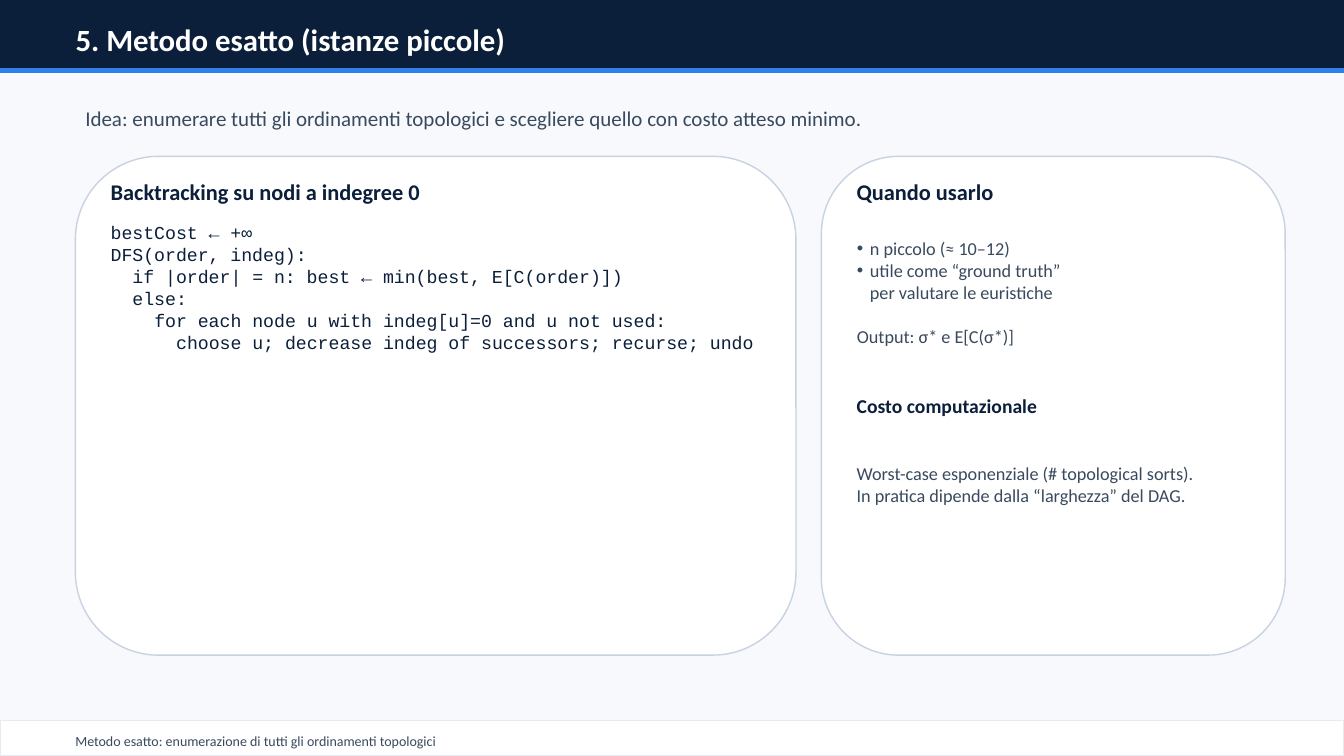
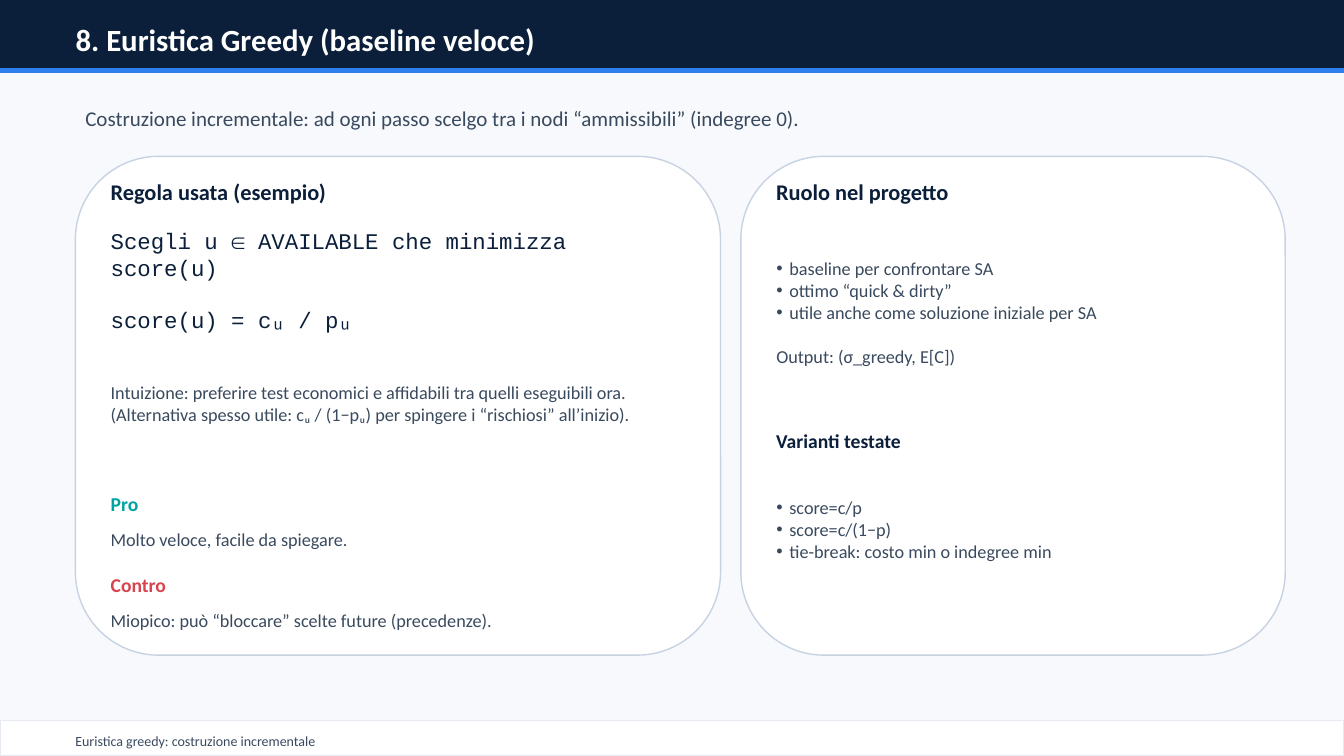
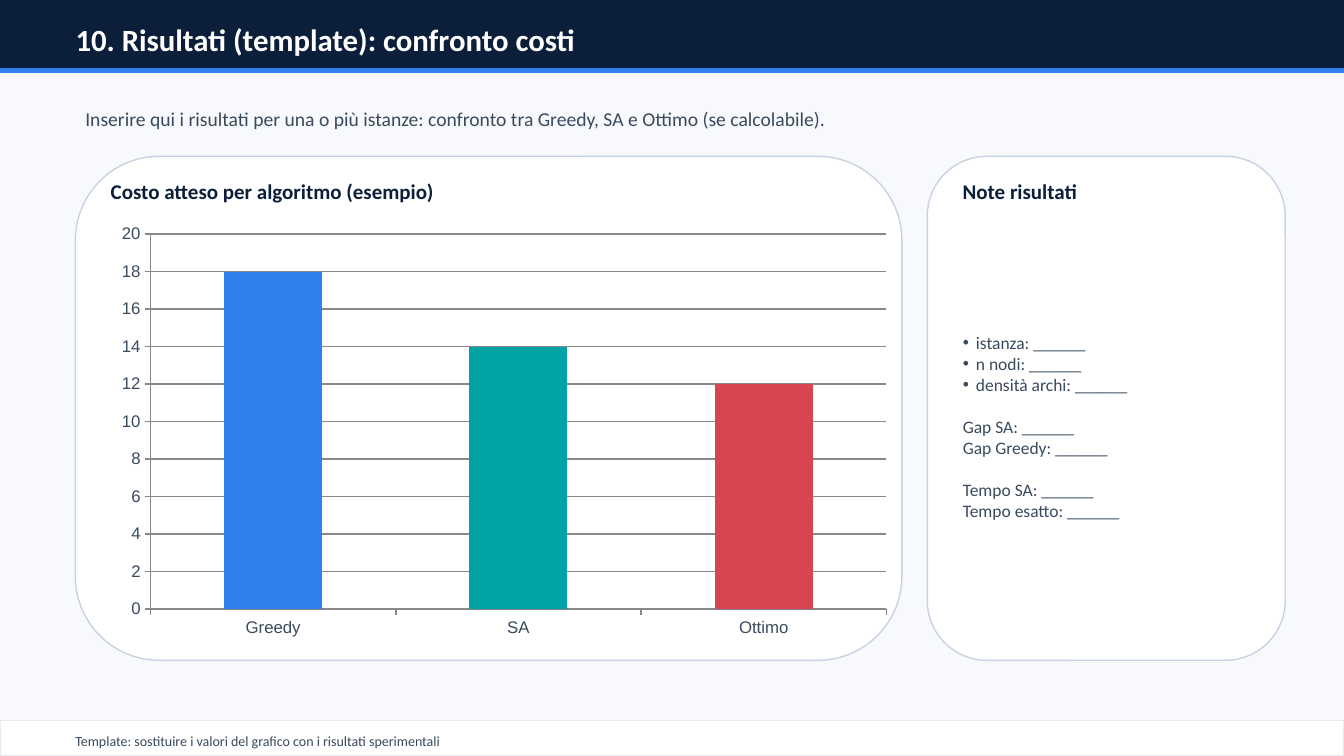
from dataclasses import dataclass

from lxml import etree
from pptx import Presentation
from pptx import util as u
from pptx.chart.data import CategoryChartData
from pptx.dml.color import RGBColor
from pptx.enum import chart as charts, shapes, text
from pptx.oxml.ns import qn


@dataclass(frozen=True)
class Style:
    size: float
    color: str
    bold: bool = False
    font: str = "Calibri"
    leading: float = 1.22


class Theme:
    navy, blue, teal, red = "0B1F3A", "2F80ED", "00A3A3", "D64550"
    slate, white, paper = "3A4A5E", "FFFFFF", "F7F9FC"
    card_line, footer_line, axis = "C7D2E3", "E6EBF2", "888888"
    title = Style(22, white, True)
    lead = Style(15, slate)
    lead_small = Style(14, slate)
    heading = Style(16, navy, True)
    heading_small = Style(15, navy, True)
    subheading = Style(14, navy, True)
    pro = Style(14, teal, True)
    contra = Style(14, red, True)
    body = Style(13, slate)
    notes = Style(12.5, slate)
    code = Style(13, navy, font="Courier New", leading=1.13)
    formula = Style(16, navy, font="Courier New", leading=1.13)
    footer = Style(10, slate)
    axis_label = Style(12, slate, font="Arial")


@dataclass(frozen=True)
class Line:
    """One paragraph; gap leaves one free line above it."""
    text: str
    bullet: bool = False
    gap: bool = False
    level: int = 0


SLIDE_WIDTH, SLIDE_HEIGHT = 33.87, 19.05
MARGIN, RIGHT_EDGE = 1.9, 32.39
CARD_TOP, CARD_PADDING = 3.94, 0.64
BULLET_INDENT, CODE_INDENT = 0.33, 0.55
MIDDLE, TOP = text.MSO_ANCHOR.MIDDLE, text.MSO_ANCHOR.TOP


def rgb(color):
    return RGBColor.from_string(color)


def lengths(area):
    return [u.Cm(value) for value in area]


def apply_font(font, style):
    font.name, font.size, font.bold = style.font, u.Pt(style.size), style.bold
    font.color.rgb = rgb(style.color)


def set_indent(para, line):
    props = para._p.get_or_add_pPr()
    hanging = BULLET_INDENT if line.bullet else 0
    props.set("marL", str(u.Cm(hanging + line.level * CODE_INDENT)))
    props.set("indent", str(-u.Cm(hanging)))
    if line.bullet:
        etree.SubElement(props, qn("a:buChar")).set("char", "•")
    else:
        etree.SubElement(props, qn("a:buNone"))


def write(box, area, lines, style, anchor=MIDDLE):
    """Place a text box or placeholder and fill it with lines."""
    box.left, box.top, box.width, box.height = lengths(area)
    frame = box.text_frame
    frame.word_wrap = True
    frame.auto_size = text.MSO_AUTO_SIZE.NONE
    frame.vertical_anchor = anchor
    for number, line in enumerate(lines):
        para = frame.paragraphs[0] if number == 0 else frame.add_paragraph()
        para.text = line.text
        para.alignment = text.PP_ALIGN.LEFT
        para.space_before = u.Pt(round(style.size * style.leading, 1) if line.gap else 0)
        set_indent(para, line)
        for span in para.runs:
            apply_font(span.font, style)


def add_text(page, area, lines, style, anchor=MIDDLE):
    if isinstance(lines, str):
        lines = [Line(lines)]
    write(page.shapes.add_textbox(*lengths(area)), area, lines, style, anchor)


def add_panel(page, kind, area, fill, line):
    panel = page.shapes.add_shape(kind, *lengths(area))
    panel.shadow.inherit = False
    panel.fill.solid()
    panel.fill.fore_color.rgb = rgb(fill)
    panel.line.color.rgb = rgb(line)
    panel.line.width = u.Pt(1)
    return panel


def add_cards(page, left_width, gap, height, headings, style):
    """Draw two headed cards and return (left, width) of the text in each."""
    right_left = MARGIN + left_width + gap
    columns = []
    for left, width, heading in ((MARGIN, left_width, headings[0]),
                                 (right_left, RIGHT_EDGE - right_left, headings[1])):
        card = add_panel(page, shapes.MSO_SHAPE.ROUNDED_RECTANGLE,
                         (left, CARD_TOP, width, height), Theme.white, Theme.card_line)
        page.shapes.element.insert(2, card.element)  # behind the placeholders
        column = left + CARD_PADDING, width - 2 * CARD_PADDING
        add_text(page, (column[0], 4.37, column[1], 0.89), heading, style)
        columns.append(column)
    return columns


def move_bands_to_layout(page, layout):
    """Draw the shared bands and hand them to the layout."""
    for holder in list(layout.placeholders):
        if holder.placeholder_format.idx >= 10:
            holder.element.getparent().remove(holder.element)
    bands = (
        (0, 1.83, Theme.navy, Theme.navy),
        (1.73, 0.1, Theme.blue, Theme.blue),
        (18.16, 0.89, Theme.white, Theme.footer_line),
    )
    for top, height, fill, line in bands:
        band = add_panel(page, shapes.MSO_SHAPE.RECTANGLE,
                         (0, top, SLIDE_WIDTH, height), fill, line)
        layout.shapes.element.append(band.element)


def add_page(deck, layout, title, lead, footer, lead_style=Theme.lead):
    page = deck.slides.add_slide(layout)
    if len(deck.slides) == 1:
        move_bands_to_layout(page, layout)
    write(page.shapes.title, (1.65, 0.41, 30.56, 1.14), [Line(title)], Theme.title)
    add_text(page, (MARGIN, 2.41, 30.48, 1.14), lead, lead_style)
    add_text(page, (1.65, 18.34, 30.56, 0.64), footer, Theme.footer)
    return page


def remove_empty_placeholders(page):
    for holder in list(page.placeholders):
        if not holder.text_frame.text:
            holder.element.getparent().remove(holder.element)


def add_cost_chart(page, area):
    data = CategoryChartData()
    data.categories = ["Greedy", "SA", "Ottimo"]
    data.add_series("Series 1", [18, 14, 12])
    chart = page.shapes.add_chart(charts.XL_CHART_TYPE.COLUMN_CLUSTERED,
                                  *lengths(area), data).chart
    chart.has_legend = chart.has_title = False
    chart.font.name, chart.font.size = "Calibri", u.Pt(10)
    plot = chart.plots[0]
    plot.gap_width, plot.vary_by_categories = 150, False
    for number, color in enumerate((Theme.blue, Theme.teal, Theme.red)):
        fill = plot.series[0].points[number].format.fill
        fill.solid()
        fill.fore_color.rgb = rgb(color)
    values = chart.value_axis
    values.minimum_scale, values.maximum_scale, values.major_unit = 0, 20, 2
    values.has_major_gridlines = True
    for axis in (chart.category_axis, values):
        axis.major_tick_mark = charts.XL_TICK_MARK.OUTSIDE
        apply_font(axis.tick_labels.font, Theme.axis_label)
    for part in (chart.category_axis, values, values.major_gridlines):
        part.format.line.color.rgb = rgb(Theme.axis)
        part.format.line.width = u.Pt(1)


def build_exact_method(deck, layout):
    page = add_page(
        deck, layout, "5. Metodo esatto (istanze piccole)",
        "Idea: enumerare tutti gli ordinamenti topologici e scegliere quello con costo atteso minimo.",
        "Metodo esatto: enumerazione di tutti gli ordinamenti topologici")
    (left, left_width), (right, right_width) = add_cards(
        page, 18.16, 0.64, 12.57,
        ("Backtracking su nodi a indegree 0", "Quando usarlo"), Theme.heading)
    add_text(page, (left, 5.46, left_width, 10.67), [
        Line("bestCost ← +∞"),
        Line("DFS(order, indeg):"),
        Line("if |order| = n: best ← min(best, E[C(order)])", level=1),
        Line("else:", level=1),
        Line("for each node u with indeg[u]=0 and u not used:", level=2),
        Line("choose u; decrease indeg of successors; recurse; undo", level=3),
    ], Theme.code, TOP)
    write(page.placeholders[1], (right, 5.46, right_width, 3.81), [
        Line("n piccolo (≈ 10–12)", bullet=True),
        Line("utile come “ground truth”\vper valutare le euristiche", bullet=True),
        Line("Output: σ* e E[C(σ*)]", gap=True),
    ], Theme.body)
    add_text(page, (right, 9.78, right_width, 0.89), "Costo computazionale", Theme.subheading)
    add_text(page, (right, 10.8, right_width, 2.79), [
        Line("Worst-case esponenziale (# topological sorts)."),
        Line("In pratica dipende dalla “larghezza” del DAG."),
    ], Theme.body)


def build_greedy(deck, layout):
    page = add_page(
        deck, layout, "8. Euristica Greedy (baseline veloce)",
        "Costruzione incrementale: ad ogni passo scelgo tra i nodi “ammissibili” (indegree 0).",
        "Euristica greedy: costruzione incrementale")
    (left, left_width), (right, right_width) = add_cards(
        page, 16.26, 0.51, 12.57,
        ("Regola usata (esempio)", "Ruolo nel progetto"), Theme.heading)
    add_text(page, (left, 5.59, left_width, 2.79), [
        Line("Scegli u ∈ AVAILABLE che minimizza score(u)"),
        Line("score(u) = cᵤ / pᵤ", gap=True),
    ], Theme.formula, TOP)
    add_text(page, (left, 8.64, left_width, 3.05), [
        Line("Intuizione: preferire test economici e affidabili tra quelli eseguibili ora."),
        Line("(Alternativa spesso utile: cᵤ / (1−pᵤ) per spingere i “rischiosi” all’inizio)."),
    ], Theme.body)
    verdicts = (
        (12.32, "Pro", Theme.pro, "Molto veloce, facile da spiegare."),
        (14.35, "Contro", Theme.contra, "Miopico: può “bloccare” scelte future (precedenze)."),
    )
    for top, label, style, verdict in verdicts:
        add_text(page, (left, top, 6.35, 0.76), label, style)
        add_text(page, (left, top + 0.89, left_width, 0.76), verdict, Theme.body)
    write(page.placeholders[1], (right, 5.59, right_width, 4.57), [
        Line("baseline per confrontare SA", bullet=True),
        Line("ottimo “quick & dirty”", bullet=True),
        Line("utile anche come soluzione iniziale per SA", bullet=True),
        Line("Output: (σ_greedy, E[C])", gap=True),
    ], Theme.body)
    add_text(page, (right, 10.67, right_width, 0.89), "Varianti testate", Theme.subheading)
    write(page.placeholders[2], (right, 11.81, right_width, 3.05), [
        Line("score=c/p", bullet=True),
        Line("score=c/(1−p)", bullet=True),
        Line("tie-break: costo min o indegree min", bullet=True),
    ], Theme.body)


def build_results(deck, layout):
    page = add_page(
        deck, layout, "10. Risultati (template): confronto costi",
        "Inserire qui i risultati per una o più istanze: confronto tra Greedy, SA e Ottimo (se calcolabile).",
        "Template: sostituire i valori del grafico con i risultati sperimentali",
        Theme.lead_small)
    _, (right, right_width) = add_cards(
        page, 20.83, 0.64, 12.7,
        ("Costo atteso per algoritmo (esempio)", "Note risultati"), Theme.heading_small)
    add_cost_chart(page, (2.67, 5.46, 20.07, 10.8))
    write(page.placeholders[1], (right, 5.54, right_width, 10.41), [
        Line("istanza: ______", bullet=True),
        Line("n nodi: ______", bullet=True),
        Line("densità archi: ______", bullet=True),
        Line("Gap SA: ______", gap=True),
        Line("Gap Greedy: ______"),
        Line("Tempo SA: ______", gap=True),
        Line("Tempo esatto: ______"),
    ], Theme.notes)


def main():
    deck = Presentation()
    deck.slide_width, deck.slide_height = lengths((SLIDE_WIDTH, SLIDE_HEIGHT))
    background = deck.slide_master.background.fill
    background.solid()
    background.fore_color.rgb = rgb(Theme.paper)
    layout = deck.slide_layouts.get_by_name("Two Content")
    for build in (build_exact_method, build_greedy, build_results):
        build(deck, layout)
    for page in deck.slides:
        remove_empty_placeholders(page)
    deck.save("out.pptx")


if __name__ == "__main__":
    main()
